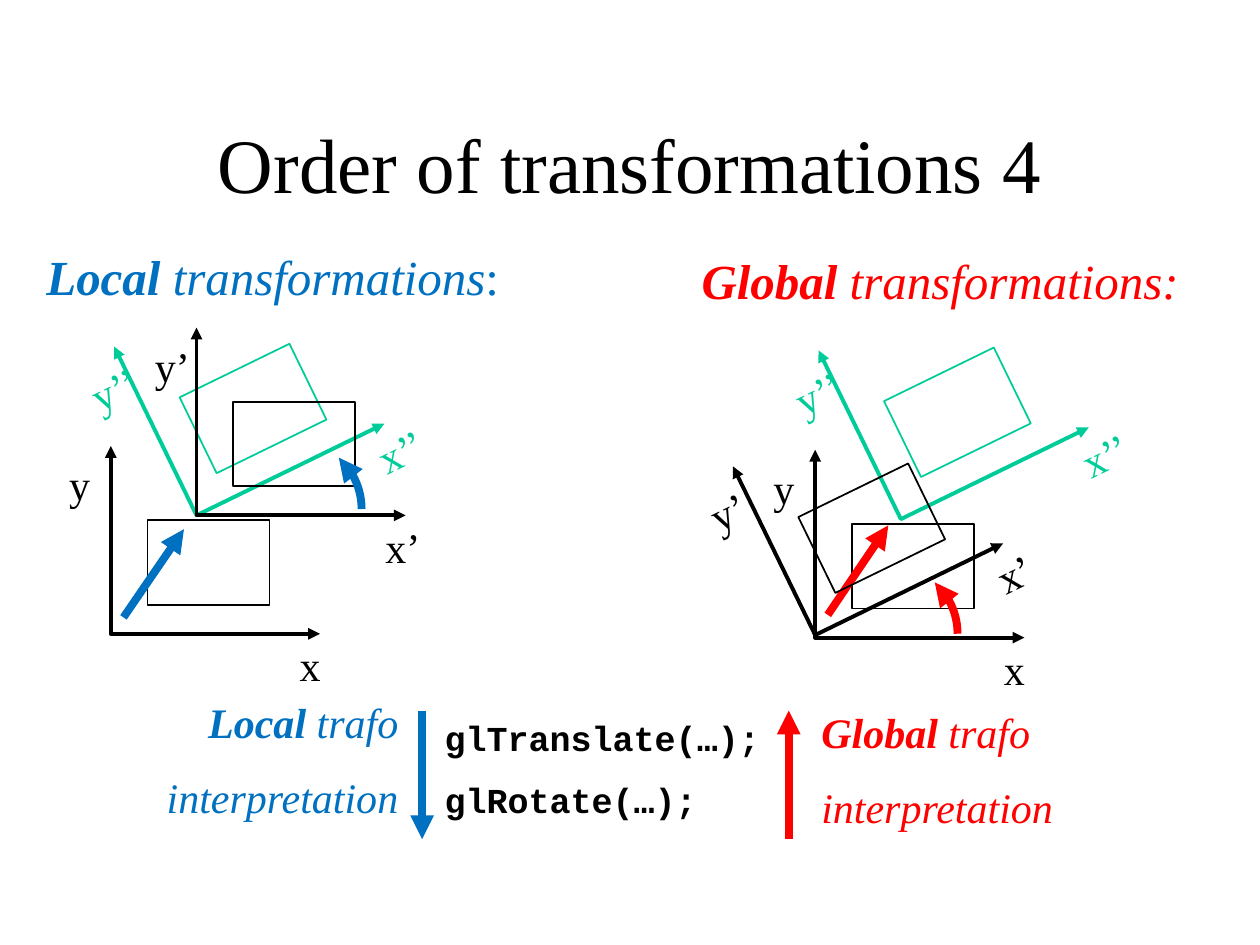
from math import cos, radians, sin

from lxml import etree
from pptx import Presentation
from pptx.dml.color import RGBColor
from pptx.enum.shapes import MSO_CONNECTOR, MSO_SHAPE
from pptx.enum.text import MSO_ANCHOR, PP_ALIGN
from pptx.oxml.ns import qn
from pptx.util import Inches, Pt

LINE = MSO_CONNECTOR.STRAIGHT
RECT, ARC = MSO_SHAPE.RECTANGLE, MSO_SHAPE.ARC
MIDDLE = MSO_ANCHOR.MIDDLE
LEFT, CENTER, RIGHT = PP_ALIGN.LEFT, PP_ALIGN.CENTER, PP_ALIGN.RIGHT

SERIF, MONO = "Times New Roman", "Courier New"
BLACK, GREEN, BLUE, RED = "000000", "00CC99", "0070C0", "FF0000"
TURN = -26  # degrees, counter-clockwise
SHIFT_X, SHIFT_Y = 0.68, -0.94
LABEL_WIDTHS = {"": 0.37, "’": 0.48, "’’": 0.59}


def rgb(colour):
    return RGBColor.from_string(colour)


def style_line(sp, colour, width, ends=()):
    """Colour the outline and put triangles at the given ends."""
    sp.line.color.rgb = rgb(colour)
    sp.line.width = Pt(width)
    ln = sp.line._get_or_add_ln()
    for end in ends:
        etree.SubElement(ln, qn(f"a:{end}"), type="triangle")


def style_outline(sp, colour, width, ends=()):
    sp.shadow.inherit = False
    sp.fill.background()
    style_line(sp, colour, width, ends)


def add_text(s, box, paragraphs, size, colour, font=SERIF, align=LEFT, wrap=True):
    """Each paragraph is a list of (text, bold, italic) runs."""
    tb = s.shapes.add_textbox(*map(Inches, box))
    tf = tb.text_frame
    tf.word_wrap = wrap
    for i, runs in enumerate(paragraphs):
        p = tf.add_paragraph() if i else tf.paragraphs[0]
        p.alignment = align
        if i:
            p.space_before = Pt(0.575 * size)
        p.font.name, p.font.size = font, Pt(size)
        p.font.color.rgb = rgb(colour)
        for text, bold, italic in runs:
            r = p.add_run()
            r.text = text
            r.font.bold, r.font.italic = bold, italic
    return tb


def add_arrow(s, x1, y1, x2, y2, colour):
    c = s.shapes.add_connector(LINE, *map(Inches, (x1, y1, x2, y2)))
    style_line(c, colour, 4.5, ["tailEnd"])
    etree.SubElement(c._element.spPr, qn("a:effectLst"))


def add_turn_arc(s, x, y, colour):
    arc = s.shapes.add_shape(ARC, Inches(x), Inches(y), Inches(1.1), Inches(1.1))
    arc.adjustments[0] = 312.2 * 0.6  # degrees to shape units
    arc.adjustments[1] = 0
    style_outline(arc, colour, 4.5, ["headEnd"])


def rotate_about(sp, x, y, angle):
    """Turn a shape around the point (x, y) instead of its own centre."""
    dx = sp.left + sp.width / 2 - Inches(x)
    dy = sp.top + sp.height / 2 - Inches(y)
    c, n = cos(radians(angle)), sin(radians(angle))
    sp.left = int(Inches(x) + dx * c - dy * n - sp.width / 2)
    sp.top = int(Inches(y) + dx * n + dy * c - sp.height / 2)
    sp.rotation = angle % 360


def add_frame(s, x, y, primes="", colour=BLACK, angle=0):
    """Axes with origin (x, y), their labels and the rectangle they carry."""
    fb = s.shapes.build_freeform(Inches(x), Inches(y - 1.49))
    fb.add_line_segments([(Inches(x), Inches(y)), (Inches(x + 1.66), Inches(y))], close=False)
    axes = fb.convert_to_shape()
    style_outline(axes, colour, 2.25, ["headEnd", "tailEnd"])

    rect = s.shapes.add_shape(RECT, Inches(x + 0.29), Inches(y - 0.9), Inches(0.97), Inches(0.67))
    style_outline(rect, colour, 1)

    labels = [
        add_text(s, (x + dx, y + dy, LABEL_WIDTHS[primes], 0.5),
                 [[(name + primes, False, False)]], 24, colour, wrap=False)
        for name, dx, dy in (("x", 1.4, 0), ("y", -0.43, -1.44))
    ]
    for sp in (axes, rect, *labels):
        rotate_about(sp, x, y, angle)


def add_local_diagram(s, x, y):
    moved = x + SHIFT_X, y + SHIFT_Y
    add_frame(s, x, y)
    add_frame(s, *moved, "’’", GREEN, TURN)
    add_frame(s, *moved, "’")
    add_arrow(s, x + 0.1, y - 0.13, x + 0.58, y - 0.83, BLUE)
    add_turn_arc(s, moved[0] + 0.21, moved[1] - 0.6, BLUE)


def add_global_diagram(s, x, y):
    add_frame(s, x, y)
    add_frame(s, x + SHIFT_X, y + SHIFT_Y, "’’", GREEN, TURN)
    add_arrow(s, x + 0.1, y - 0.18, x + 0.58, y - 0.89, RED)
    add_frame(s, x, y - 0.02, "’", BLACK, TURN)
    add_turn_arc(s, x + 0.03, y - 0.58, RED)


def add_reading_order(s, x, y):
    """Code lines with the two directions in which they can be read."""
    code = ["glTranslate(…);", "glRotate(…);"]
    add_text(s, (x, y, 2.76, 0.94), [[(line, True, False)] for line in code], 20, BLACK, MONO)
    add_arrow(s, x - 0.08, y, x - 0.08, y + 1.02, BLUE)
    add_arrow(s, x + 2.83, y + 1.02, x + 2.83, y, RED)
    for word, dx, dy, colour, align in (("Local", -3.24, -0.16, BLUE, RIGHT),
                                        ("Global", 2.99, -0.08, RED, LEFT)):
        add_text(s, (x + dx, y + dy, 3.07, 1.11),
                 [[(word, True, True), (" trafo", False, True)],
                  [("interpretation", False, True)]], 24, colour, align=align)


def add_title(s, text):
    title = s.shapes.title
    title.left, title.top, title.width, title.height = map(Inches, (0.75, 0.67, 8.5, 1.25))
    tf = title.text_frame
    tf.text = text
    tf.vertical_anchor = MIDDLE
    p = tf.paragraphs[0]
    p.alignment = CENTER
    p.font.name, p.font.size = SERIF, Pt(44)
    p.font.color.rgb = rgb(BLACK)


def main():
    prs = Presentation()
    prs.slide_width, prs.slide_height = Inches(10), Inches(7.5)
    s = prs.slides.add_slide(prs.slide_layouts[5])
    add_title(s, "Order of transformations 4")
    add_text(s, (0.27, 1.91, 4.49, 0.57),
             [[("Local", True, True), (" transformations", False, True), (":", False, False)]],
             28, BLUE)
    add_text(s, (5.47, 1.94, 4.17, 0.57),
             [[("Global", True, True), (" transformations:", False, True)]], 28, RED)
    add_local_diagram(s, 0.88, 5.03)
    add_global_diagram(s, 6.47, 5.06)
    add_reading_order(s, 3.43, 5.64)
    prs.save("out.pptx")


if __name__ == "__main__":
    main()
